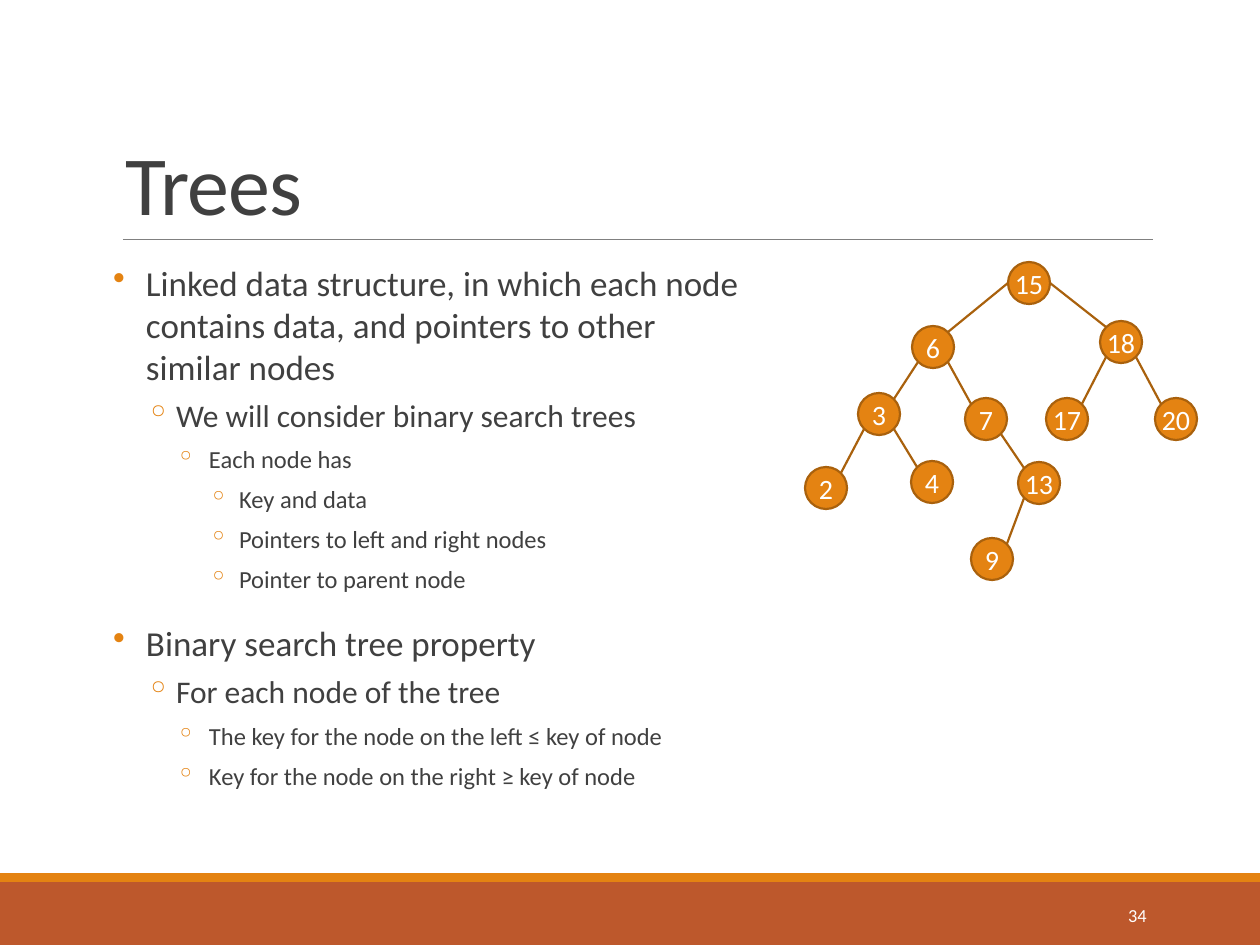
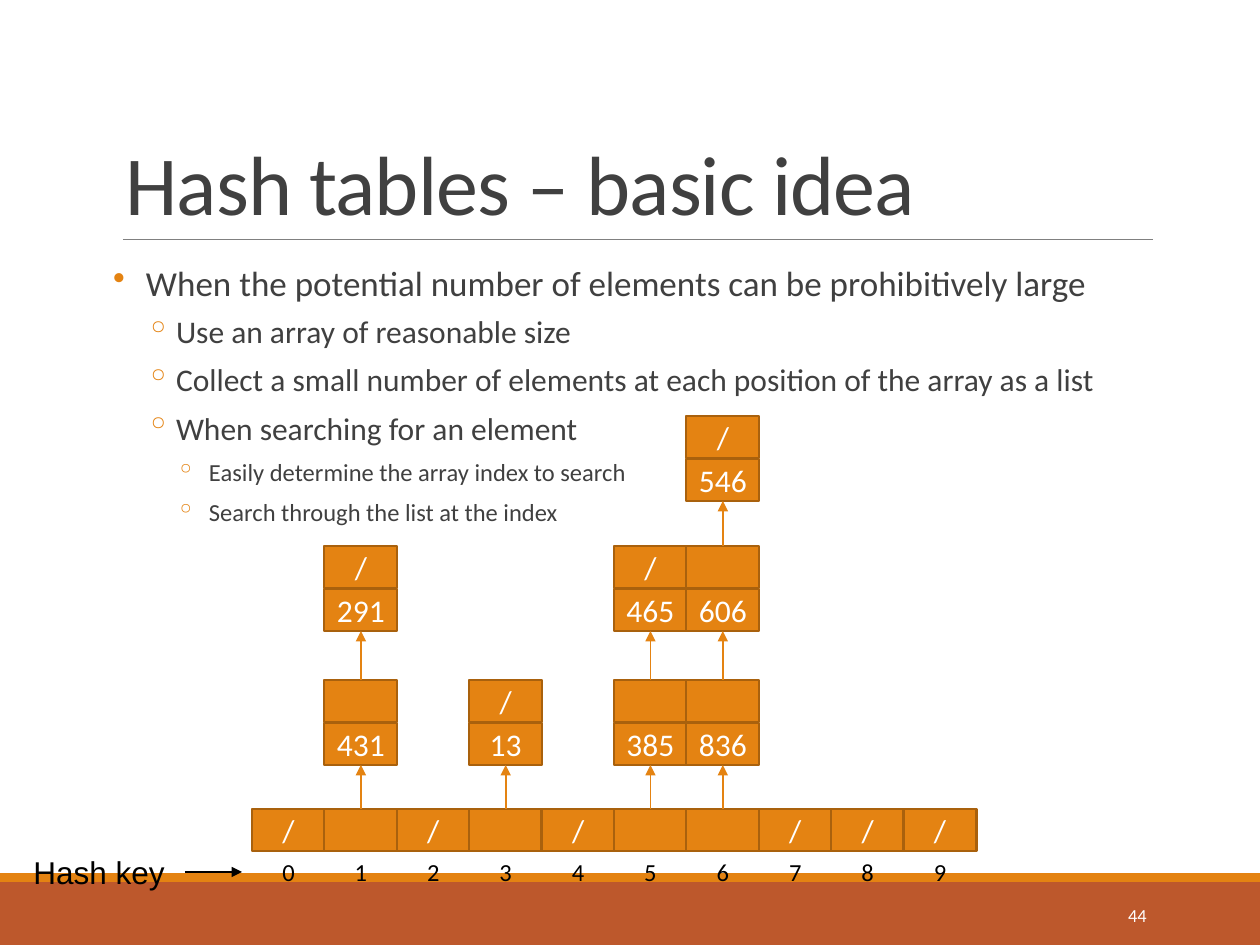
from math import sqrt

from lxml.etree import SubElement
from pptx import Presentation
from pptx.dml.color import RGBColor
from pptx.enum.shapes import MSO_CONNECTOR, MSO_SHAPE
from pptx.enum.text import MSO_ANCHOR, PP_ALIGN
from pptx.oxml.ns import qn
from pptx.util import Pt

PX = 914400 / 126
WIDTH, HEIGHT = 1260, 945

ORANGE = RGBColor(0xE4, 0x83, 0x12)
DARK_ORANGE = RGBColor(0xA9, 0x61, 0x0D)
RUST = RGBColor(0xBD, 0x58, 0x2C)
GREY = RGBColor(0x80, 0x80, 0x80)
CHARCOAL = RGBColor(0x40, 0x40, 0x40)
WHITE = RGBColor(0xFF, 0xFF, 0xFF)
BLACK = RGBColor(0, 0, 0)

# level: bullet, size, left indent, hanging indent, space before, space after
LEVELS = [
    ("•", 20, 33, 33, 12, 3),
    ("◦", 18, 63, 30, 2, 4),
    ("◦", 14, 96, 33, 2, 4),
    ("◦", 14, 126, 30, 2, 4),
]

TREE_POINTS = [
    (0, "Linked data structure, in which each node contains data, and pointers to other similar nodes"),
    (1, "We will consider binary search trees"),
    (2, "Each node has"),
    (3, "Key and data"),
    (3, "Pointers to left and right nodes"),
    (3, "Pointer to parent node"),
    (0, "Binary search tree property"),
    (1, "For each node of the tree"),
    (2, "The key for the node on the left ≤ key of node"),
    (2, "Key for the node on the right ≥ key of node"),
]
TREE_NODES = {
    2: (805, 467), 4: (911, 461), 9: (971, 538), 13: (1018, 462),
    3: (858, 393), 7: (965, 398), 17: (1046, 398), 20: (1155, 398),
    6: (912, 326), 18: (1100, 321), 15: (1008, 262),
}
TREE_ROOT = 15
TREE_EDGES = [(15, 18), (15, 6), (18, 20), (18, 17), (6, 7),
              (6, 3), (7, 13), (13, 9), (3, 4), (3, 2)]
NODE_SIZE = 42

HASH_POINTS = [
    (0, "When the potential number of elements can be prohibitively large"),
    (1, "Use an array of reasonable size"),
    (1, "Collect a small number of elements at each position of the array as a list"),
    (1, "When searching for an element"),
    (2, "Easily determine the array index to search"),
    (2, "Search through the list at the index"),
]
HASH_LISTS = {1: [431, 291], 3: [13], 5: [385, 465], 6: [836, 606, 546]}
LIST_TOPS = [680, 546, 416]
SLOT_COUNT = 10
ARRAY_LEFT, ARRAY_TOP, ARRAY_WIDTH = 252, 809, 724
CELL_WIDTH, CELL_HEIGHT, VALUE_OFFSET = 73, 42, 43


def emu(*lengths):
    return [round(length * PX) for length in lengths]


def add_run(paragraph, text, size, color, font="Calibri"):
    run = paragraph.add_run()
    run.text = str(text)
    run.font.size = Pt(size)
    run.font.name = font
    run.font.color.rgb = color
    return run


def add_text(slide, box, text, size, color, align=PP_ALIGN.LEFT,
             anchor=MSO_ANCHOR.MIDDLE, font="Calibri"):
    frame = slide.shapes.add_textbox(*emu(*box)).text_frame
    frame.word_wrap = True
    frame.vertical_anchor = anchor
    paragraph = frame.paragraphs[0]
    paragraph.alignment = align
    return paragraph, add_run(paragraph, text, size, color, font)


def add_filled(shapes, kind, box, fill, outline=None, text="", size=18):
    shape = shapes.add_shape(kind, *emu(*box))
    shape.shadow.inherit = False
    shape.fill.solid()
    shape.fill.fore_color.rgb = fill
    if outline is None:
        shape.line.fill.background()
    else:
        shape.line.color.rgb = outline
        shape.line.width = Pt(1.25)
    if text != "":
        frame = shape.text_frame
        frame.margin_left = frame.margin_right = 0
        frame.margin_top = frame.margin_bottom = 0
        frame.vertical_anchor = MSO_ANCHOR.MIDDLE
        paragraph = frame.paragraphs[0]
        paragraph.alignment = PP_ALIGN.CENTER
        add_run(paragraph, text, size, WHITE)
    return shape


def add_line(slide, start, end, color, width, arrow=False):
    line = slide.shapes.add_connector(MSO_CONNECTOR.STRAIGHT, *emu(*start, *end))
    line.line.color.rgb = color
    line.line.width = Pt(width)
    properties = line._element.spPr
    if arrow:
        SubElement(properties.find(qn("a:ln")), qn("a:tailEnd"), type="triangle")
    SubElement(properties, qn("a:effectLst"))


def add_bullets(slide, box, points):
    frame = slide.shapes.add_textbox(*emu(*box)).text_frame
    frame.word_wrap = True
    frame.margin_left = frame.margin_right = 0
    for index, (level, text) in enumerate(points):
        bullet, size, left, hanging, before, after = LEVELS[level]
        paragraph = frame.add_paragraph() if index else frame.paragraphs[0]
        paragraph.level = level
        paragraph.space_before = Pt(before)
        paragraph.space_after = Pt(after)
        properties = paragraph._p.get_or_add_pPr()
        margin, indent = emu(left, -hanging)
        properties.set("marL", str(margin))
        properties.set("indent", str(indent))
        bullet_color = SubElement(properties, qn("a:buClr"))
        SubElement(bullet_color, qn("a:srgbClr"), val=str(ORANGE))
        SubElement(properties, qn("a:buChar"), char=bullet)
        add_run(paragraph, text, size, CHARCOAL)


def add_base_slide(presentation, title, number):
    slide = presentation.slides.add_slide(presentation.slide_layouts[6])
    add_filled(slide.shapes, MSO_SHAPE.RECTANGLE, (0, 882, WIDTH, 63), RUST)
    add_filled(slide.shapes, MSO_SHAPE.RECTANGLE, (0, 873, WIDTH, 9), ORANGE)
    add_line(slide, (123, 239), (1153, 239), GREY, 0.5)
    paragraph, run = add_text(slide, (113, 39, 1040, 200), title, 48, CHARCOAL,
                              anchor=MSO_ANCHOR.BOTTOM)
    paragraph.line_spacing = 0.85
    run._r.get_or_add_rPr().set("spc", "-50")
    add_text(slide, (1023, 890, 136, 50), number, 10.5, WHITE, PP_ALIGN.RIGHT)
    return slide


def add_tree(slide):
    for key, position in TREE_NODES.items():
        add_filled(slide.shapes, MSO_SHAPE.OVAL, (*position, NODE_SIZE, NODE_SIZE),
                   ORANGE, DARK_ORANGE, key, 16)
    radius = NODE_SIZE / 2
    diagonal = radius / sqrt(2)
    for parent, child in TREE_EDGES:
        parent_x, parent_y = (value + radius for value in TREE_NODES[parent])
        child_x, child_y = (value + radius for value in TREE_NODES[child])
        side = 1 if child_x > parent_x else -1
        if parent == TREE_ROOT:
            start = (parent_x + side * radius, parent_y)
        else:
            start = (parent_x + side * diagonal, parent_y + diagonal)
        end = (child_x - side * diagonal, child_y - diagonal)
        add_line(slide, start, end, DARK_ORANGE, 1.25)


def add_cell(shapes, left, top, text):
    add_filled(shapes, MSO_SHAPE.RECTANGLE, (left, top, CELL_WIDTH, CELL_HEIGHT),
               ORANGE, DARK_ORANGE, text)


def add_hash_table(slide):
    for slot in range(SLOT_COUNT):
        left = ARRAY_LEFT + slot * ARRAY_WIDTH / SLOT_COUNT
        center = left + CELL_WIDTH / 2
        values = HASH_LISTS.get(slot, [])
        add_cell(slide.shapes, left, ARRAY_TOP, "" if values else "/")
        add_text(slide, (left, 851, CELL_WIDTH, CELL_HEIGHT), slot, 14, BLACK,
                 PP_ALIGN.CENTER)
        arrow_start = ARRAY_TOP
        for value, top in zip(values, LIST_TOPS):
            list_node = slide.shapes.add_group_shape().shapes
            add_cell(list_node, left, top + VALUE_OFFSET, value)
            add_cell(list_node, left, top, "/" if value == values[-1] else "")
            bottom = top + VALUE_OFFSET + CELL_HEIGHT
            add_line(slide, (center, arrow_start), (center, bottom), ORANGE, 1, True)
            arrow_start = top
    add_text(slide, (21, 847, 164, 50), "Hash key", 18, BLACK,
             anchor=MSO_ANCHOR.TOP, font="Arial")
    add_line(slide, (185, 872), (242, 872), BLACK, 1, True)


def main():
    presentation = Presentation()
    presentation.slide_width, presentation.slide_height = emu(WIDTH, HEIGHT)

    trees = add_base_slide(presentation, "Trees", 34)
    add_bullets(trees, (113, 255, 635, 554), TREE_POINTS)
    add_tree(trees)

    hashing = add_base_slide(presentation, "Hash tables – basic idea", 44)
    add_bullets(hashing, (113, 255, 1040, 302), HASH_POINTS)
    add_hash_table(hashing)

    presentation.save("out.pptx")


if __name__ == "__main__":
    main()
